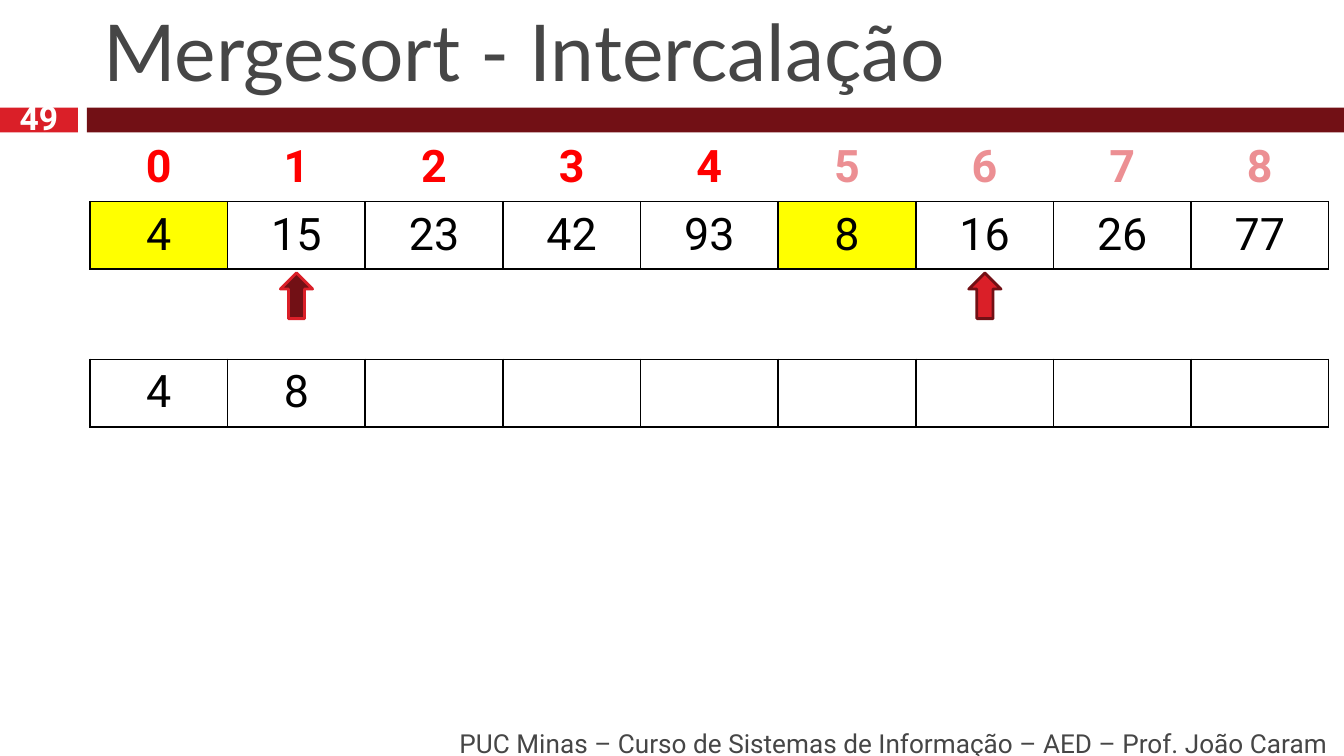
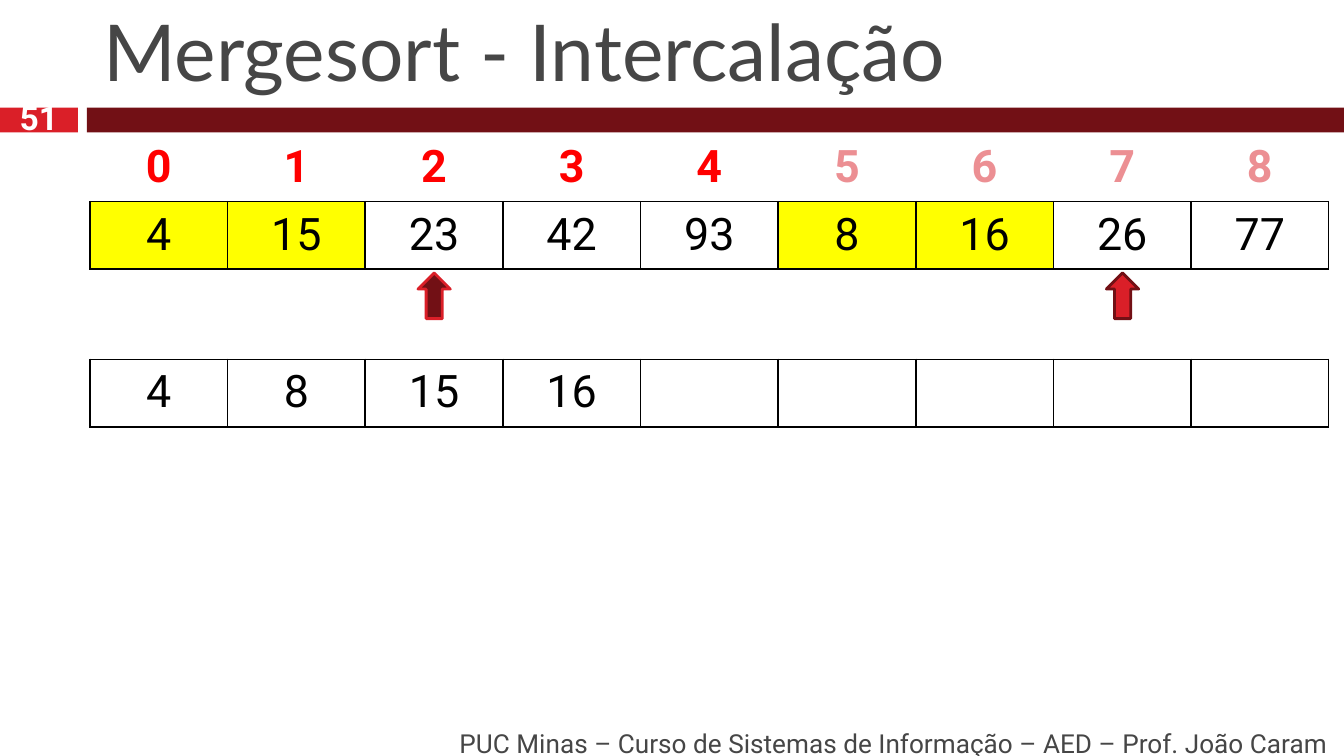
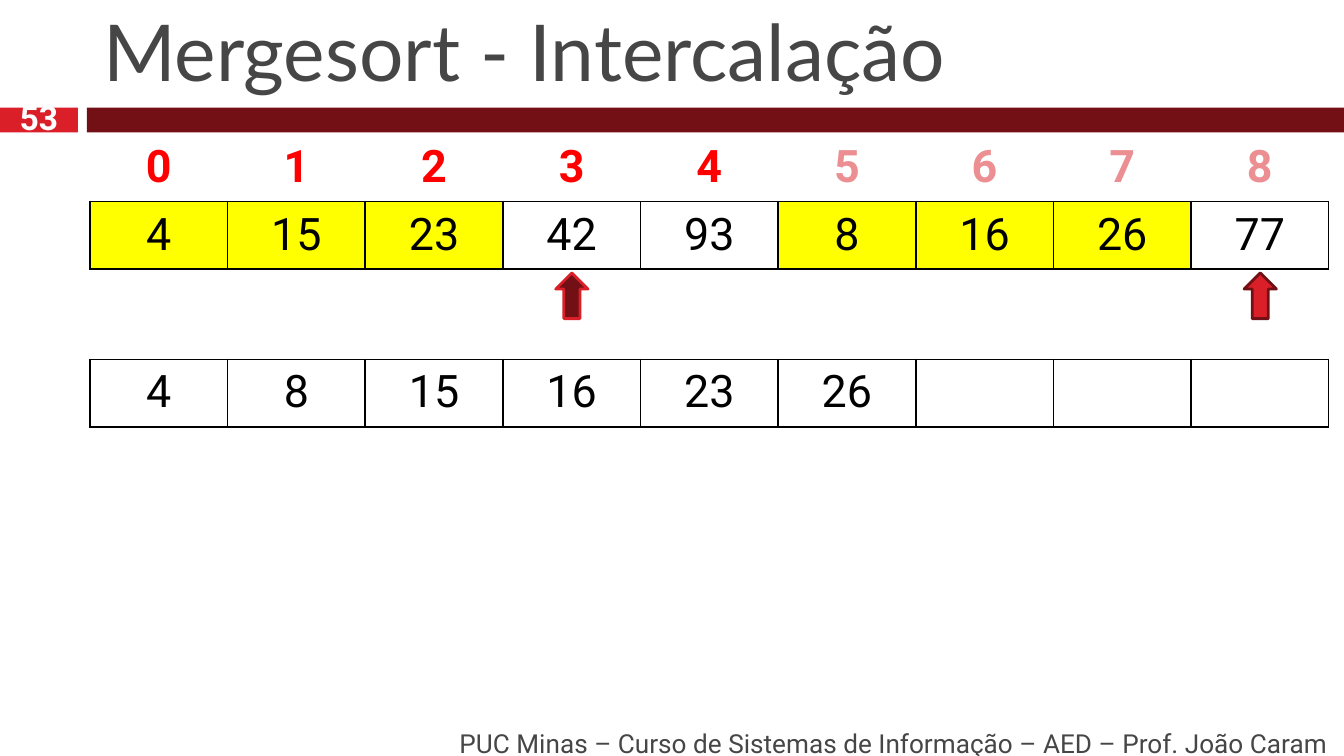
from lxml import etree
from pptx import Presentation
from pptx import util as u
from pptx.dml import color
from pptx.enum import shapes, text
from pptx.oxml import ns

RED, WINE, GREY = "DA1F28", "721015", "464646"
BLACK, WHITE, YELLOW = "000000", "FFFFFF", "FFFF00"
LEFT_INDEX, RIGHT_INDEX = "FF0000", "EC8F93"
NO_GRID_STYLE = "{2D5ABB26-0587-4C30-8999-92F81FD0307C}"

LEFT_RUN = [4, 15, 23, 42, 93]
RIGHT_RUN = [8, 16, 26, 77]
VALUES = LEFT_RUN + RIGHT_RUN
MIDDLE = len(LEFT_RUN)

GRID_LEFT, GRID_WIDTH, ROW_HEIGHT = 48.2, 663.8, 35.6
COLUMN_WIDTH = GRID_WIDTH / len(VALUES)
ARROW_WIDTH, ARROW_HEIGHT = 17.3, 24.5

TITLE = "Mergesort - Intercalação"
FOOTER = "PUC Minas – Curso de Sistemas de Informação – AED – Prof. João Caram"


def rgb(value):
    return color.RGBColor.from_string(value)


def write(frame, words, size, font, ink, align, bold=False):
    """Put one formatted run in the first paragraph of a text frame."""
    para = frame.paragraphs[0]
    para.alignment = align
    span = para.add_run()
    span.text = words
    span.font.size, span.font.name, span.font.bold = u.Pt(size), font, bold
    span.font.color.rgb = rgb(ink)


deck = Presentation()
deck.slide_width, deck.slide_height = u.Pt(720), u.Pt(405)
align, anchor = text.PP_ALIGN, text.MSO_ANCHOR

# After each step, that many values of each run have been merged.
for step in (1, 2, 3):
    page = deck.slides.add_slide(deck.slide_layouts[6])
    merged = sorted(LEFT_RUN[:step] + RIGHT_RUN[:step])
    pointers = [step, MIDDLE + step]

    for left, width, fill in ((0, 41.8, RED), (46.6, 673.4, WINE)):
        band = page.shapes.add_shape(
            shapes.MSO_SHAPE.RECTANGLE, u.Pt(left), u.Pt(57.6), u.Pt(width), u.Pt(13.4))
        band.shadow.inherit = False
        band.fill.solid()
        band.fill.fore_color.rgb = rgb(fill)
        band.line.fill.background()

    for words, left, top, width, height, size, font, ink, side, hold, bold in (
        (TITLE, GRID_LEFT, 9.4, GRID_WIDTH, 46, 42, "Lato", GREY,
         align.LEFT, anchor.BOTTOM, False),
        (FOOTER, 76.3, 387.4, 642.2, 21.6, 14, "Roboto", GREY,
         align.RIGHT, anchor.MIDDLE, False),
        (str(47 + 2 * step), 0, 55.4, 41.8, 14.4, 18, "Roboto", WHITE,
         align.CENTER, anchor.MIDDLE, True),
    ):
        box = page.shapes.add_textbox(u.Pt(left), u.Pt(top), u.Pt(width), u.Pt(height))
        box.text_frame.word_wrap = True
        box.text_frame.vertical_anchor = hold
        write(box.text_frame, words, size, font, ink, side, bold)

    for top, header, numbers, marked in (
        (72, range(len(VALUES)), VALUES,
         [*range(step), *range(MIDDLE, MIDDLE + step)]),
        (157, [], merged, []),
    ):
        table = page.shapes.add_table(
            2, len(VALUES), u.Pt(GRID_LEFT), u.Pt(top),
            u.Pt(GRID_WIDTH), u.Pt(2 * ROW_HEIGHT)).table
        table.first_row = table.horz_banding = False
        table._tbl.tblPr.find(ns.qn("a:tableStyleId")).text = NO_GRID_STYLE
        for row in table.rows:
            row.height = u.Pt(ROW_HEIGHT)

        for column in range(len(VALUES)):
            table.columns[column].width = u.Pt(COLUMN_WIDTH)
            index_cell, value_cell = table.cell(0, column), table.cell(1, column)

            for cell, sides in ((index_cell, "B"), (value_cell, "LRTB")):
                properties = cell._tc.get_or_add_tcPr()
                for side in sides:
                    border = etree.SubElement(
                        properties, ns.qn("a:ln" + side), w=str(u.Pt(1)))
                    paint = etree.SubElement(border, ns.qn("a:solidFill"))
                    etree.SubElement(paint, ns.qn("a:srgbClr"), val=BLACK)

            index_cell.fill.background()
            value_cell.fill.solid()
            value_cell.fill.fore_color.rgb = rgb(YELLOW if column in marked else WHITE)

            if column < len(header):
                write(index_cell.text_frame, str(header[column]), 24, "Roboto",
                      LEFT_INDEX if column < MIDDLE else RIGHT_INDEX, align.CENTER, True)
            if column < len(numbers):
                write(value_cell.text_frame, str(numbers[column]), 24, "Roboto",
                      BLACK, align.CENTER)

    for position, fill, outline in zip(pointers, (WINE, RED), (RED, WINE)):
        center = GRID_LEFT + (position + 0.5) * COLUMN_WIDTH
        arrow = page.shapes.add_shape(
            shapes.MSO_SHAPE.DOWN_ARROW, u.Pt(center - ARROW_WIDTH / 2), u.Pt(146.2),
            u.Pt(ARROW_WIDTH), u.Pt(ARROW_HEIGHT))
        arrow.rotation = 180
        arrow.shadow.inherit = False
        arrow.fill.solid()
        arrow.fill.fore_color.rgb = rgb(fill)
        arrow.line.color.rgb = rgb(outline)
        arrow.line.width = u.Pt(1.5)

deck.save("out.pptx")
